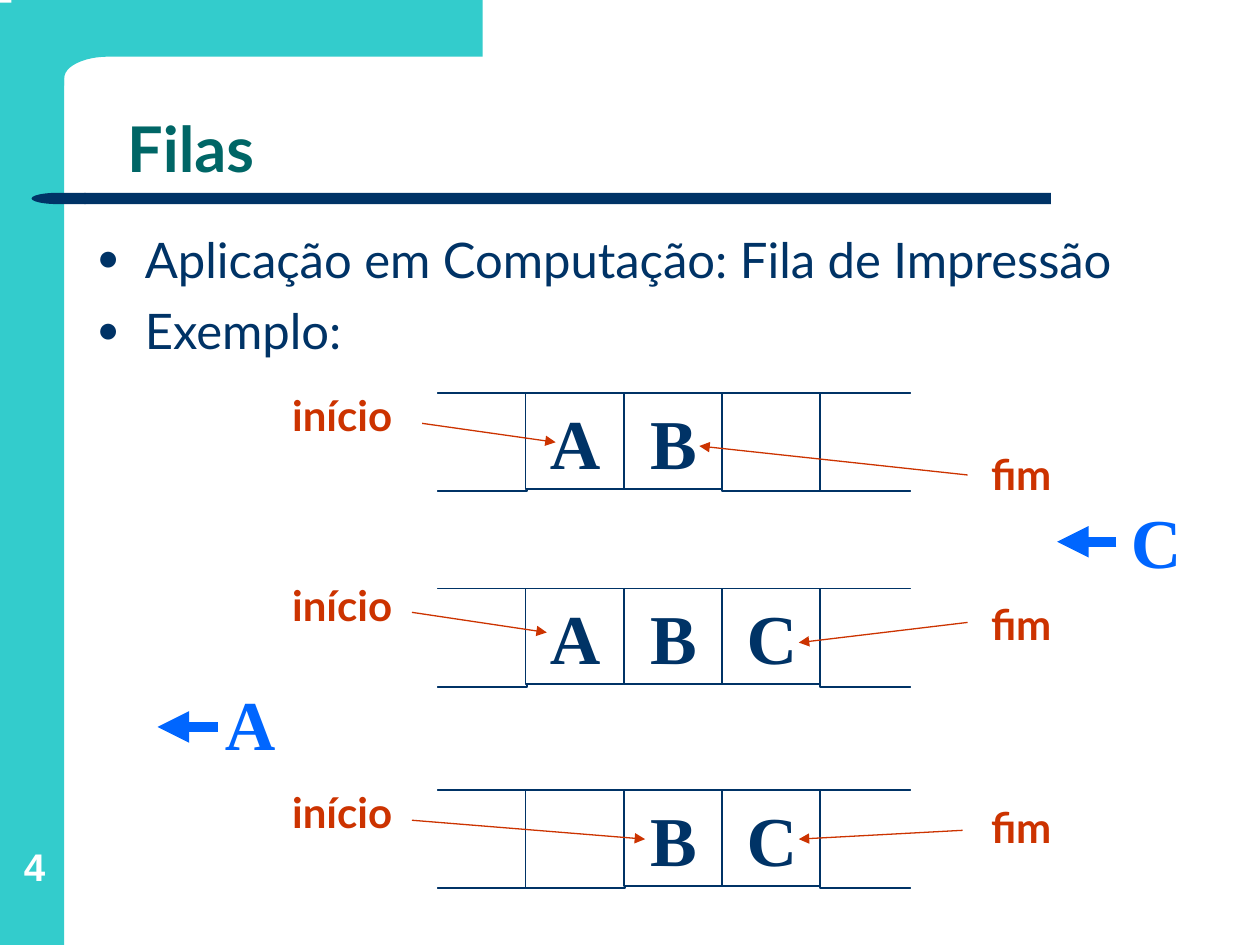
import math

from lxml import etree
from pptx import Presentation
from pptx.dml.color import RGBColor
from pptx.enum import shapes, text
from pptx.oxml.ns import qn
from pptx.util import Inches, Pt

TEAL, NAVY, WHITE = "33CCCC", "003366", "FFFFFF"
GREEN, RED, BLUE = "006666", "CC3300", "0066FF"
SERIF, SANS = "Times New Roman", "Lato"
CELL_WIDTH, CELL_PITCH = 0.79, 0.78
RECTANGLE = shapes.MSO_SHAPE.RECTANGLE


def color(hex_string):
    return RGBColor.from_string(hex_string)


def write(shape, lines, font=SANS, size=24, ink=NAVY, bold=True,
          align=text.PP_ALIGN.CENTER, anchor=text.MSO_ANCHOR.TOP,
          spacing=1.0, gap=0, inset=None):
    frame = shape.text_frame
    frame.word_wrap = True
    frame.auto_size = text.MSO_AUTO_SIZE.NONE
    frame.vertical_anchor = anchor
    if inset is not None:
        frame.margin_left = frame.margin_right = Inches(inset)
        frame.margin_top = frame.margin_bottom = Inches(inset)
    frame.text = "\n".join(lines)
    for paragraph in frame.paragraphs:
        paragraph.alignment = align
        paragraph.line_spacing = spacing
        paragraph.space_before = paragraph.space_after = Pt(gap)
        for run in paragraph.runs:
            run.font.name = font
            run.font.size = Pt(size)
            run.font.bold = bold
            run.font.color.rgb = color(ink)


def place(shape, left, top, width, height):
    shape.left, shape.top = Inches(left), Inches(top)
    shape.width, shape.height = Inches(width), Inches(height)


def paint(shape, fill, line=None):
    shape.shadow.inherit = False
    shape.fill.solid()
    shape.fill.fore_color.rgb = color(fill)
    if line:
        shape.line.color.rgb = color(line)
        shape.line.width = Pt(1)
    else:
        shape.line.fill.background()


def add_box(container, left, top, width, height, fill=WHITE, line=None, kind=RECTANGLE):
    shape = container.add_shape(kind, Inches(left), Inches(top), Inches(width), Inches(height))
    paint(shape, fill, line)
    return shape


def add_arrow(slide, start, end, ink=RED, width=0.75):
    arrow = slide.shapes.add_connector(
        shapes.MSO_CONNECTOR.STRAIGHT, *(Inches(value) for value in (*start, *end)))
    arrow.line.color.rgb = color(ink)
    arrow.line.width = Pt(width)
    etree.SubElement(arrow.line._get_or_add_ln(), qn("a:tailEnd"), type="triangle")
    etree.SubElement(arrow._element.spPr, qn("a:effectLst"))


def add_label(slide, left, top, label, width=1.65, height=0.63, **style):
    box = slide.shapes.add_textbox(Inches(left), Inches(top), Inches(width), Inches(height))
    write(box, [label], **style)


def add_bullets(shape, indent=0.38):
    for paragraph in shape.text_frame.paragraphs:
        properties = paragraph._p.get_or_add_pPr()
        properties.set("marL", str(Inches(indent)))
        properties.set("indent", str(-Inches(indent)))
        bullet_color = etree.SubElement(properties, qn("a:buClr"))
        etree.SubElement(bullet_color, qn("a:srgbClr"), val=NAVY)
        etree.SubElement(properties, qn("a:buSzPct"), val="75000")
        etree.SubElement(properties, qn("a:buChar"), char="●")


def add_frame(slide):
    """Teal side band with its curved corner, the title rule and the page number."""
    add_box(slide.shapes, 0, 0.02, 0.51, 7.48, TEAL)
    curve = [(0.86 - 0.35 * math.sin(angle), 0.62 - 0.17 * math.cos(angle))
             for angle in (math.pi / 2 * step / 12 for step in range(13))]
    outline = [(3.83, 0), (3.83, 0.45), *curve, (0.51, 0.68), (0.09, 0.68)]
    builder = slide.shapes.build_freeform(Inches(0.09), 0)
    builder.add_line_segments([(Inches(x), Inches(y)) for x, y in outline])
    paint(builder.convert_to_shape(), TEAL)

    rule = slide.shapes.add_group_shape().shapes
    add_box(rule, 0.67, 1.53, 7.67, 0.09, NAVY)
    cap = add_box(rule, 0.25, 1.53, 0.43, 0.09, NAVY, kind=shapes.MSO_SHAPE.FLOWCHART_DELAY)
    cap.rotation = 180
    add_label(slide, 0.03, 6.52, "4", 0.49, 0.54, font="Arial", size=22, ink=WHITE,
              anchor=text.MSO_ANCHOR.BOTTOM, inset=0)


def add_heading_and_list(slide):
    title, body = slide.placeholders
    place(title, 0.91, 0.44, 8.51, 1.09)
    write(title, ["Filas"], size=36, ink=GREEN, align=text.PP_ALIGN.LEFT,
          anchor=text.MSO_ANCHOR.BOTTOM, spacing=0.9)
    place(body, 0.67, 1.86, 9.13, 2.36)
    write(body, ["Aplicação em Computação: Fila de Impressão", "Exemplo:"], size=28,
          bold=False, align=text.PP_ALIGN.LEFT, spacing=0.8, gap=7)
    add_bullets(body)


def add_queue(slide, left, top, items):
    """Row of cells, left open at both ends by white covers."""
    row = slide.shapes.add_group_shape().shapes
    for index, item in enumerate(items):
        filled = item != " "
        cell = add_box(row, left + index * CELL_PITCH, top, CELL_WIDTH,
                       0.76 if filled else 0.78, WHITE, NAVY)
        if filled:
            write(cell, [item], font=SERIF, size=40)
    add_box(row, left - 0.16, top - 0.16, 0.24, 1.02)
    add_box(row, left + 3.84, top - 0.08, 0.24, 1.02)


def add_moving_item(slide, left, top, item, arrow_start, arrow_end):
    box = add_box(slide.shapes, left, top, CELL_WIDTH, 0.76)
    write(box, [item], font=SERIF, size=40, ink=BLUE)
    add_arrow(slide, arrow_start, arrow_end, BLUE, 6)


def main():
    presentation = Presentation()
    presentation.slide_width, presentation.slide_height = Inches(10), Inches(7.5)
    slide = presentation.slides.add_slide(presentation.slide_layouts[1])
    add_frame(slide)
    add_heading_and_list(slide)

    # queue top, items, start label top, end label top, start arrow, end arrow
    stages = [
        (3.12, " AB  ", 3.12, 3.59, ((3.35, 3.36), (4.41, 3.51)), ((7.68, 3.77), (5.55, 3.54))),
        (4.67, " ABC ", 4.63, 4.78, ((3.27, 4.86), (4.34, 5.02)), ((7.68, 4.94), (6.34, 5.1))),
        (6.27, "  BC ", 6.27, 6.39, ((3.27, 6.51), (5.12, 6.66)), ((7.64, 6.59), (6.34, 6.66))),
    ]
    for top, items, start_top, end_top, start_arrow, end_arrow in stages:
        add_queue(slide, 3.39, top, items)
        for left, label_top, label, arrow in ((1.89, start_top, "início", start_arrow),
                                              (7.28, end_top, "fim", end_arrow)):
            add_label(slide, left, label_top, label, ink=RED, spacing=0.8, gap=6)
            add_arrow(slide, *arrow)

    add_moving_item(slide, 1.59, 5.35, "A", (1.73, 5.77), (1.25, 5.77))
    add_moving_item(slide, 8.78, 3.91, "C", (8.86, 4.3), (8.39, 4.3))
    presentation.save("out.pptx")


if __name__ == "__main__":
    main()
